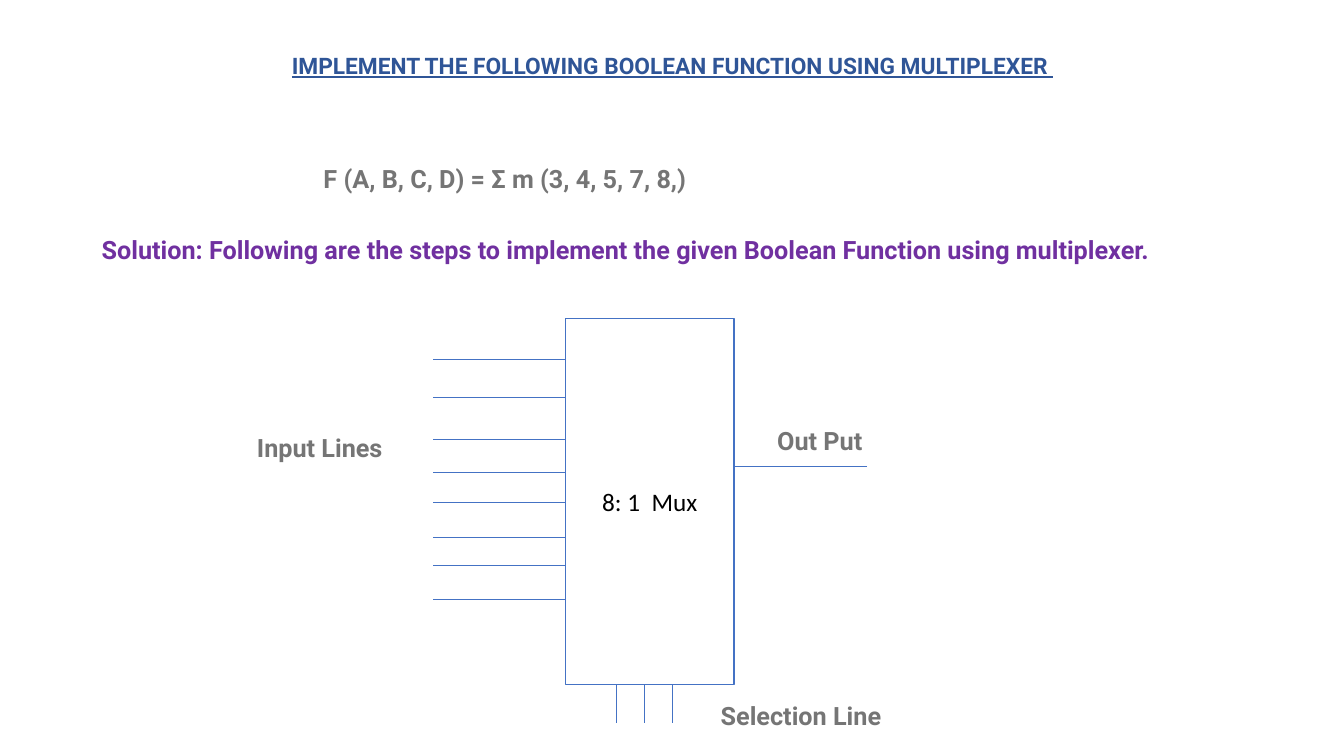
from pptx import Presentation
from pptx import util as u
from pptx.dml.color import RGBColor
from pptx.enum import shapes, text
from pptx.oxml.ns import qn
from lxml import etree

BLUE, TITLE_BLUE, GREY, PURPLE = "4472C4", "2F5597", "757575", "7030A0"


def colour(value):
    return RGBColor.from_string(value)


def write(frame, words, size=18, font="Roboto", fill=GREY, bold=True,
          underline=None, align=None, anchor=text.MSO_ANCHOR.TOP,
          spacing=1.07, after=8):
    frame.word_wrap = True
    frame.auto_size = text.MSO_AUTO_SIZE.NONE
    frame.vertical_anchor = anchor
    paragraph = frame.paragraphs[0]
    paragraph.alignment = align
    paragraph.line_spacing = spacing
    paragraph.space_before = u.Pt(0)
    paragraph.space_after = u.Pt(after)
    run = paragraph.add_run()
    run.text = words
    run.font.size = u.Pt(size)
    run.font.name = font
    run.font.bold = bold
    run.font.underline = underline
    run.font.color.rgb = colour(fill)


class MuxSlide:
    def __init__(self, deck):
        self.slide = deck.slides.add_slide(deck.slide_layouts[5])
        self.diagram = None

    def title(self, words, left, top, width, height):
        heading = self.slide.shapes.title
        heading.left, heading.top = u.Inches(left), u.Inches(top)
        heading.width, heading.height = u.Inches(width), u.Inches(height)
        write(heading.text_frame, words, size=16.2, fill=TITLE_BLUE,
              underline=True, align=text.PP_ALIGN.CENTER,
              anchor=text.MSO_ANCHOR.BOTTOM, spacing=0.9, after=0)

    def start_diagram(self):
        self.diagram = self.slide.shapes.add_group_shape()

    def canvas(self):
        return self.diagram.shapes if self.diagram else self.slide.shapes

    def label(self, words, left, top, width, height=0.41, **style):
        box = self.canvas().add_textbox(u.Inches(left), u.Inches(top),
                                        u.Inches(width), u.Inches(height))
        write(box.text_frame, words, **style)

    def block(self, words, left, top, width, height):
        body = self.canvas().add_shape(
            shapes.MSO_SHAPE.RECTANGLE, u.Inches(left), u.Inches(top),
            u.Inches(width), u.Inches(height))
        body.shadow.inherit = False
        body.fill.solid()
        body.fill.fore_color.rgb = colour("FFFFFF")
        body.line.color.rgb = colour(BLUE)
        body.line.width = u.Pt(1)
        write(body.text_frame, words, font="Calibri", fill="000000", bold=False,
              align=text.PP_ALIGN.CENTER, anchor=text.MSO_ANCHOR.MIDDLE,
              spacing=1.0, after=0)

    def wire(self, x1, y1, x2, y2):
        line = self.canvas().add_connector(
            shapes.MSO_CONNECTOR.STRAIGHT, u.Inches(x1), u.Inches(y1),
            u.Inches(x2), u.Inches(y2))
        line.line.color.rgb = colour(BLUE)
        line.line.width = u.Pt(0.5)
        etree.SubElement(line._element.spPr, qn("a:effectLst"))


def main():
    deck = Presentation()
    deck.slide_width, deck.slide_height = u.Inches(13.33), u.Inches(7.5)
    page = MuxSlide(deck)

    # Heading, function and solution
    page.title("IMPLEMENT THE FOLLOWING BOOLEAN FUNCTION USING MULTIPLEXER ",
               1.67, 0.32, 10, 0.52)
    page.label("F (A, B, C, D) = Σ m (3, 4, 5, 7, 8,)", 3.11, 1.55, 6.67)
    page.label("Solution: Following are the steps to implement the given "
               "Boolean Function using multiplexer.",
               0.91, 2.25, 10.76, 1.69, fill=PURPLE)

    # Multiplexer block
    left, top, width, height = 5.61, 3.16, 1.67, 3.63
    right, bottom, reach = left + width, top + height, 1.32
    page.start_diagram()
    page.block("8: 1  Mux", left, top, width, height)

    # Input, output and selection wires
    for input_y in (3.57, 3.94, 4.36, 4.69, 4.98, 5.33, 5.61, 5.95):
        page.wire(left, input_y, left - reach, input_y)
    page.wire(right + reach, 4.63, right, 4.63)
    for select in range(3):
        select_x = 6.11 + 0.28 * select
        page.wire(select_x, bottom + 0.38, select_x, bottom)

    # Wire labels
    page.label("Input Lines", 2.45, 4.22, 1.55)
    page.label("Out Put", 7.61, 4.15, 1.55)
    page.label("Selection Line", 7.05, 6.88, 2.27)

    deck.save("out.pptx")


if __name__ == "__main__":
    main()
